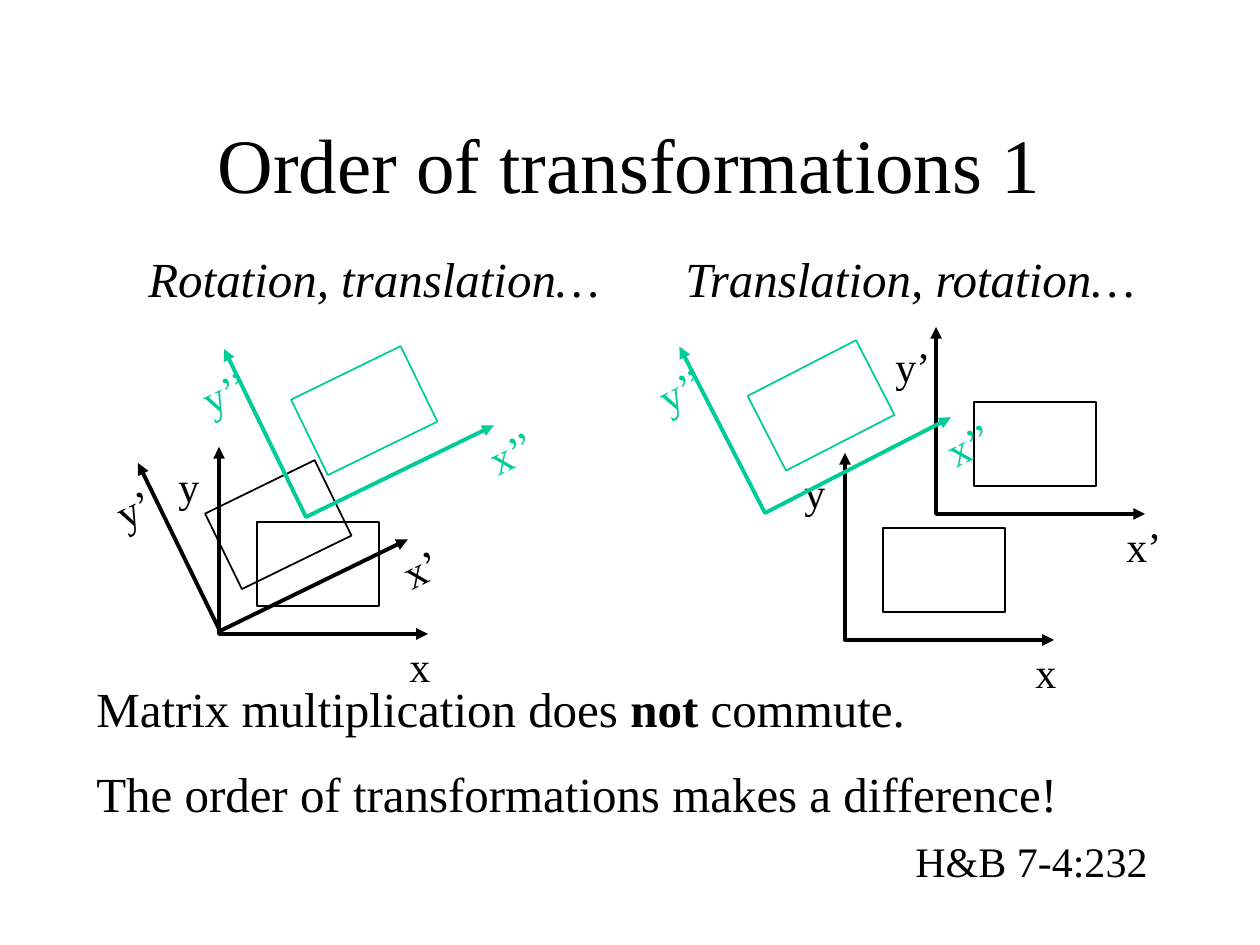
"""Slide showing that rotation and translation do not commute."""
import math
from lxml import etree
from pptx import Presentation
from pptx import util as u
from pptx.dml.color import RGBColor
from pptx.enum import shapes, text
from pptx.oxml.ns import qn

PX = 914400 / 126
FONT = "Times New Roman"
COLORS = {"ink": "000000", "green": "00CC99"}


def px(n):
    return u.Emu(round(n * PX))


def add_text(box, lines, size, color="ink", wrap=True, italic=None):
    sp = s.shapes.add_textbox(*map(px, box))
    tf = sp.text_frame
    tf.word_wrap = wrap
    for i, line in enumerate(lines):
        p = tf.paragraphs[0] if i == 0 else tf.add_paragraph()
        if i:
            p.space_before = u.Pt(15)
        for part, bold in line:
            r = p.add_run()
            r.text = part
            r.font.name = FONT
            r.font.size = u.Pt(size)
            r.font.bold = bold
            r.font.italic = italic
            r.font.color.rgb = RGBColor.from_string(COLORS[color])
    return sp


prs = Presentation()
prs.slide_width, prs.slide_height = px(1260), px(945)
s = prs.slides.add_slide(prs.slide_layouts[6])

title = add_text((94, 84, 1071, 158), [[("Order of transformations 1", None)]], 44)
title.text_frame.vertical_anchor = text.MSO_ANCHOR.MIDDLE
title.text_frame.paragraphs[0].alignment = text.PP_ALIGN.CENTER

AXES = (0, -187, 209, 187)
RECT = (38, -112, 122, 84)
LABEL_WIDTHS = [47, 60, 74]
frames = [
    (219, 634, 0, 0, "ink"),
    (220, 631, 26, 1, "ink"),
    (306, 517, 26, 2, "green"),
    (845, 640, 0, 0, "ink"),
    (936, 514, 0, 1, "ink"),
    (765, 513, 27.2, 2, "green"),
]
for ox, oy, angle, primes, color in frames:
    left, top, w, h = AXES
    fb = s.shapes.build_freeform(left, top, scale=PX)
    fb.add_line_segments([(0, 0), (w, 0)], close=False)
    axes = fb.convert_to_shape(px(ox), px(oy))
    rect = s.shapes.add_shape(shapes.MSO_SHAPE.RECTANGLE, 0, 0, px(RECT[2]), px(RECT[3]))
    for sp, width in ((axes, 2.25), (rect, 1)):
        sp.shadow.inherit = False
        sp.fill.background()
        sp.line.color.rgb = RGBColor.from_string(COLORS[color])
        sp.line.width = u.Pt(width)
    for end in ("a:headEnd", "a:tailEnd"):
        etree.SubElement(axes.line._get_or_add_ln(), qn(end), type="triangle")

    parts = [(axes, AXES), (rect, RECT)]
    for name, left, top in (("x", 178, 0), ("y", -53, -180)):
        box = (left, top, LABEL_WIDTHS[primes], 63)
        label = add_text(box, [[(name + "’" * primes, None)]], 24, color, wrap=False)
        parts.append((label, box))

    cos, sin = math.cos(math.radians(angle)), math.sin(math.radians(angle))
    for sp, (left, top, w, h) in parts:
        cx, cy = left + w / 2, top + h / 2
        sp.left = px(ox + cx * cos + cy * sin - w / 2)
        sp.top = px(oy - cx * sin + cy * cos - h / 2)
        sp.rotation = -angle % 360

add_text((84, 672, 1071, 160), [
    [("Matrix multiplication does ", None), ("not ", True), ("commute.", None)],
    [("The order of transformations makes a difference!", None)],
], 28)

heads = add_text((136, 242, 1071, 72),
                 [[("Rotation, translation…\tTranslation, rotation…", None)]], 28, italic=True)
pPr = heads.text_frame.paragraphs[0]._p.get_or_add_pPr()
tabs = etree.SubElement(pPr, qn("a:tabLst"))
etree.SubElement(tabs, qn("a:tab"), pos=str(px(537)), algn="l")

add_text((903, 829, 260, 64), [[("H&B 7-4:232", None)]], 24, wrap=False)

prs.save("out.pptx")
